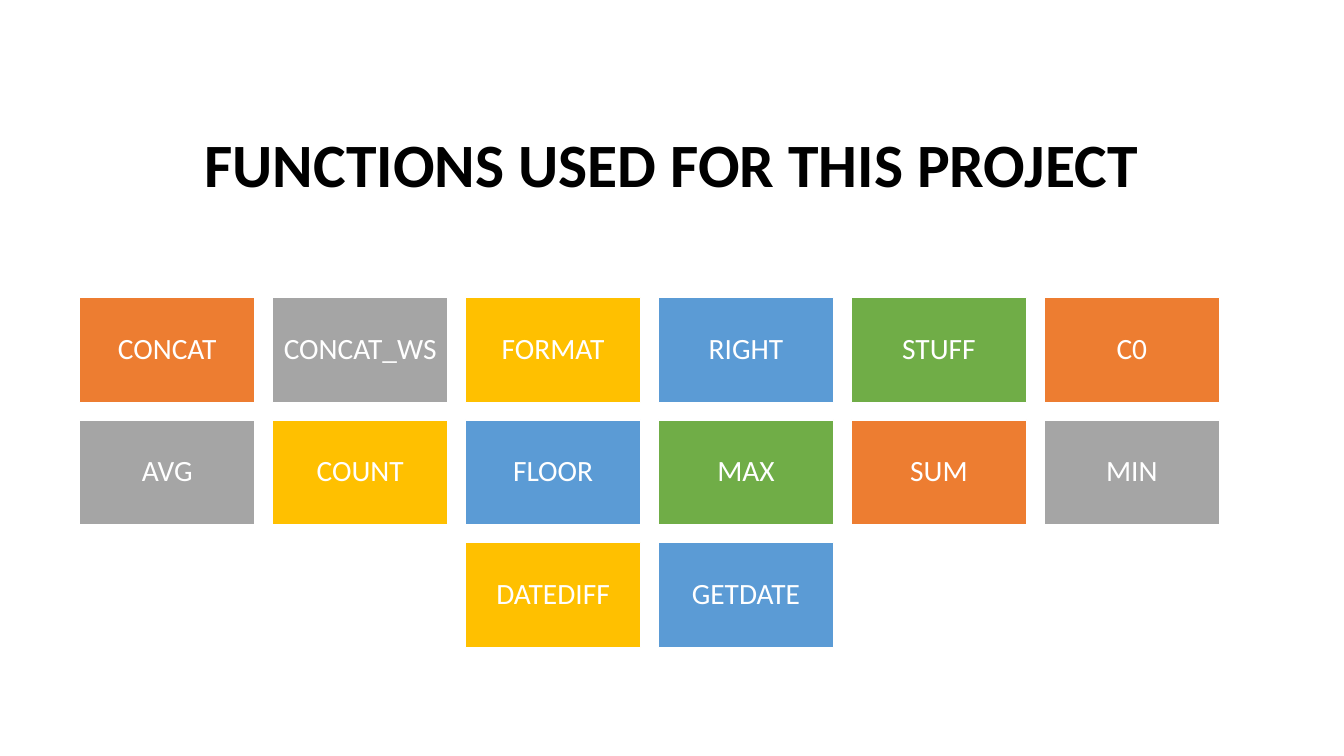
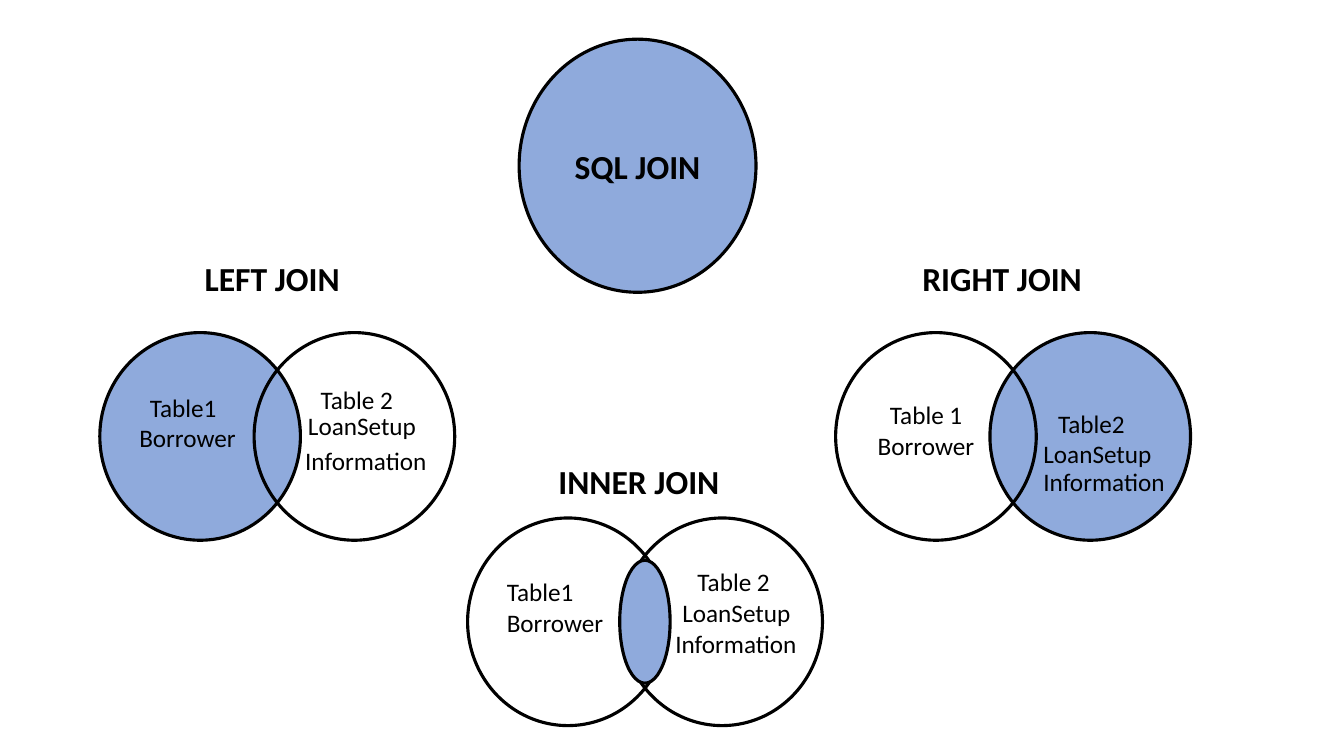
"""Build two slides: the SQL functions of a project and its join diagrams."""
from pptx import Presentation
from pptx.dml.color import RGBColor
from pptx.enum import shapes, text
from pptx.util import Pt

FONT = "Calibri"
COLOURS = {
    "black": "000000", "white": "FFFFFF", "shade": "8FAADC",
    "orange": "ED7D31", "grey": "A5A5A5", "gold": "FFC000",
    "blue": "5B9BD5", "green": "70AD47",
}
TILE_CYCLE = ["orange", "grey", "gold", "blue", "green"]

TITLE = "FUNCTIONS USED FOR THIS PROJECT"
FUNCTION_ROWS = [
    ["CONCAT", "CONCAT_WS", "FORMAT", "RIGHT", "STUFF", "C0"],
    ["AVG", "COUNT", "FLOOR", "MAX", "SUM", "MIN"],
    ["DATEDIFF", "GETDATE"],
]
TILE_WIDTH, TILE_HEIGHT, TILE_GAP = 125.3, 75, 12.5
GRID_CENTRE, GRID_TOP = 464, 212.5

HUB = ("SQL JOIN", (370.8, 28, 169.2, 180.8))
CIRCLE_WIDTH, CIRCLE_HEIGHT, CIRCLE_STEP = 143.3, 148.3, 110.2
LENS = (108.7, 30.2, 36, 87.8)

# Each caption holds its left and top, then lines of (text, indent, line pitch).
JOINS = [
    {"heading": ("LEFT JOIN", 146.2, 183.6), "at": (71.3, 237.6), "shaded": "left",
     "captions": [
         (99.5, 279.5, [("Table1", 7.5, 22), ("Borrower", 0, 22)]),
         (218, 274.3, [("Table 2", 11, 22), ("LoanSetup", 2, 18.7),
                       ("Information", 0, 25)])]},
    {"heading": ("RIGHT JOIN", 658.8, 183.6), "at": (596.9, 237.6), "shaded": "right",
     "captions": [
         (627, 285, [("Table 1", 8.7, 22), ("Borrower", 0, 22)]),
         (745.3, 291, [("Table2", 10.5, 22), ("LoanSetup", 0, 21.5),
                       ("Information", 0, 20)])]},
    {"heading": ("INNER JOIN", 398.9, 329), "at": (334, 370), "shaded": "lens",
     "captions": [
         (362, 411.5, [("Table1", 0, 22), ("Borrower", 0, 22)]),
         (482.4, 404, [("Table 2", 15.8, 22), ("LoanSetup", 5, 22.3),
                       ("Information", 0, 22.3)])]},
]


def colour(name):
    return RGBColor.from_string(COLOURS[name])


def style(para, size, ink="black", bold=False):
    para.font.name = FONT
    para.font.size = Pt(size)
    para.font.bold = bold
    para.font.color.rgb = colour(ink)


def add_figure(slide, kind, at, fill, line, weight):
    figure = slide.shapes.add_shape(kind, *map(Pt, at))
    figure.shadow.inherit = False
    if fill:
        figure.fill.solid()
        figure.fill.fore_color.rgb = colour(fill)
    else:
        figure.fill.background()
    figure.line.color.rgb = colour(line)
    figure.line.width = Pt(weight)
    return figure


def add_ellipse(slide, at, fill=None):
    return add_figure(slide, shapes.MSO_SHAPE.OVAL, at, fill, "black", 2.25)


def set_margins(frame, size):
    frame.margin_left = frame.margin_right = Pt(size)
    frame.margin_top = frame.margin_bottom = Pt(size)


def label_figure(figure, words, size, ink, bold=False):
    frame = figure.text_frame
    frame.text = words
    frame.vertical_anchor = text.MSO_ANCHOR.MIDDLE
    para = frame.paragraphs[0]
    para.alignment = text.PP_ALIGN.CENTER
    style(para, size, ink, bold)
    return frame


def add_lines(slide, left, top, lines, size, bold=False):
    height = sum(pitch for _, _, pitch in lines)
    box = slide.shapes.add_textbox(Pt(left), Pt(top), Pt(150), Pt(height))
    frame = box.text_frame
    frame.word_wrap = True
    set_margins(frame, 0)
    frame.text = "\n".join(words for words, _, _ in lines)
    for para, (_, indent, pitch) in zip(frame.paragraphs, lines):
        para._p.get_or_add_pPr().set("marL", str(Pt(indent)))
        para.line_spacing = Pt(pitch)
        style(para, size, bold=bold)


def add_functions_slide(deck):
    slide = deck.slides.add_slide(deck.slide_layouts[5])
    title = slide.shapes.title
    title.left, title.top, title.width, title.height = map(Pt, (134, 86.4, 692, 114))
    title.text_frame.text = TITLE
    title.text_frame.vertical_anchor = text.MSO_ANCHOR.TOP
    title.text_frame.paragraphs[0].alignment = text.PP_ALIGN.CENTER
    style(title.text_frame.paragraphs[0], 44, bold=True)

    count = 0
    for row, names in enumerate(FUNCTION_ROWS):
        row_width = len(names) * (TILE_WIDTH + TILE_GAP) - TILE_GAP
        top = GRID_TOP + row * (TILE_HEIGHT + TILE_GAP)
        for column, name in enumerate(names):
            left = GRID_CENTRE - row_width / 2 + column * (TILE_WIDTH + TILE_GAP)
            fill = TILE_CYCLE[count % len(TILE_CYCLE)]
            tile = add_figure(slide, shapes.MSO_SHAPE.RECTANGLE,
                              (left, top, TILE_WIDTH, TILE_HEIGHT), fill, "white", 1)
            frame = label_figure(tile, name, 21, "white")
            set_margins(frame, 6.5)
            frame.paragraphs[0].line_spacing = 0.9
            count += 1


def add_join(slide, join):
    left, top = join["at"]
    circles = {"left": left, "right": left + CIRCLE_STEP}
    for side in sorted(circles, key=lambda name: name != join["shaded"]):
        add_ellipse(slide, (circles[side], top, CIRCLE_WIDTH, CIRCLE_HEIGHT),
                    "shade" if side == join["shaded"] else None)
    if join["shaded"] == "lens":
        shift, drop, width, height = LENS
        add_ellipse(slide, (left + shift, top + drop, width, height), "shade")
    words, heading_left, heading_top = join["heading"]
    add_lines(slide, heading_left, heading_top, [(words, 0, 29.3)], 24, bold=True)
    for caption_left, caption_top, lines in join["captions"]:
        add_lines(slide, caption_left, caption_top, lines, 18)


def add_joins_slide(deck):
    slide = deck.slides.add_slide(deck.slide_layouts[6])
    words, at = HUB
    label_figure(add_ellipse(slide, at, "shade"), words, 24, "black", bold=True)
    for join in JOINS:
        add_join(slide, join)


def main():
    deck = Presentation()
    deck.slide_width, deck.slide_height = Pt(960), Pt(540)
    add_functions_slide(deck)
    add_joins_slide(deck)
    deck.save("out.pptx")


if __name__ == "__main__":
    main()
